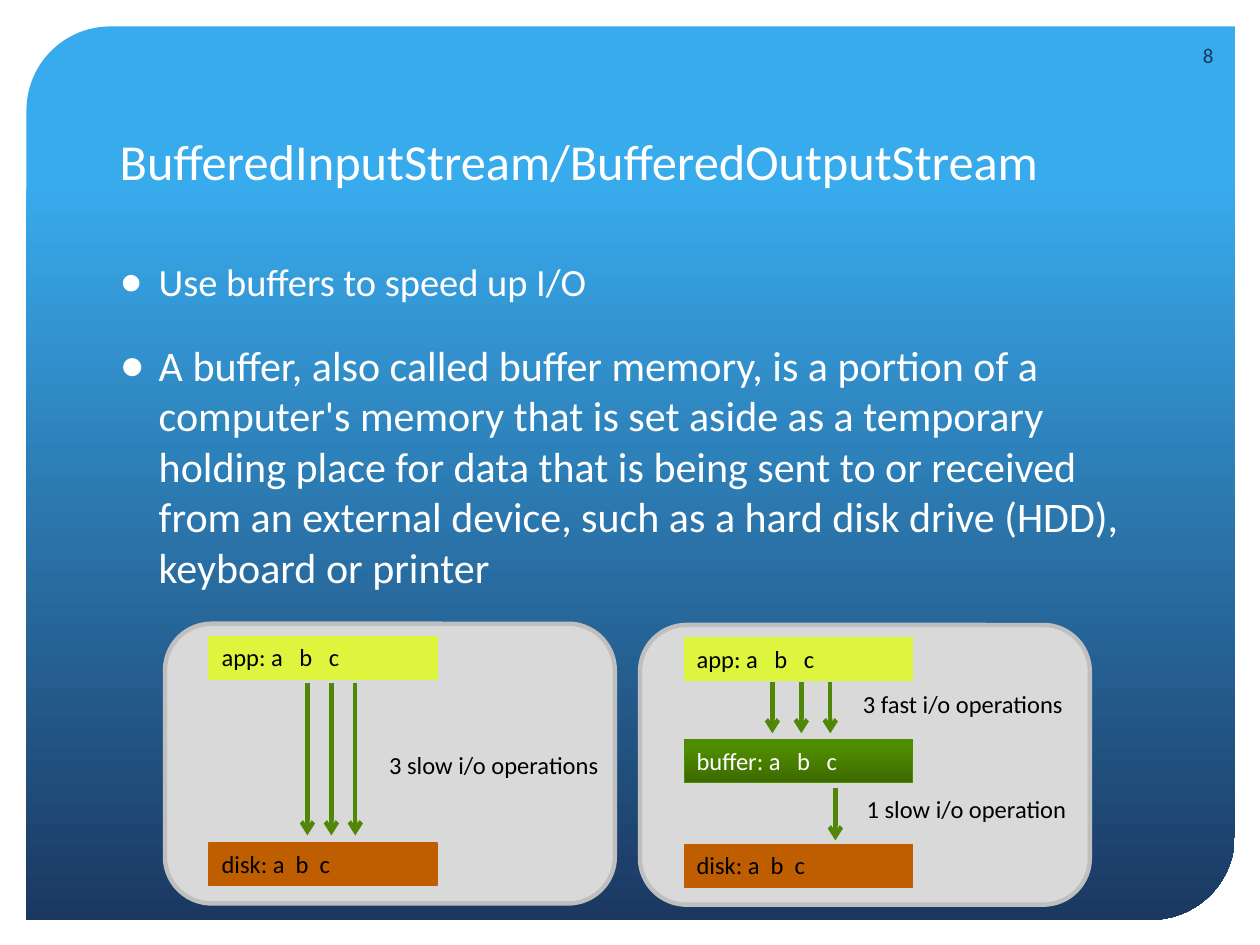
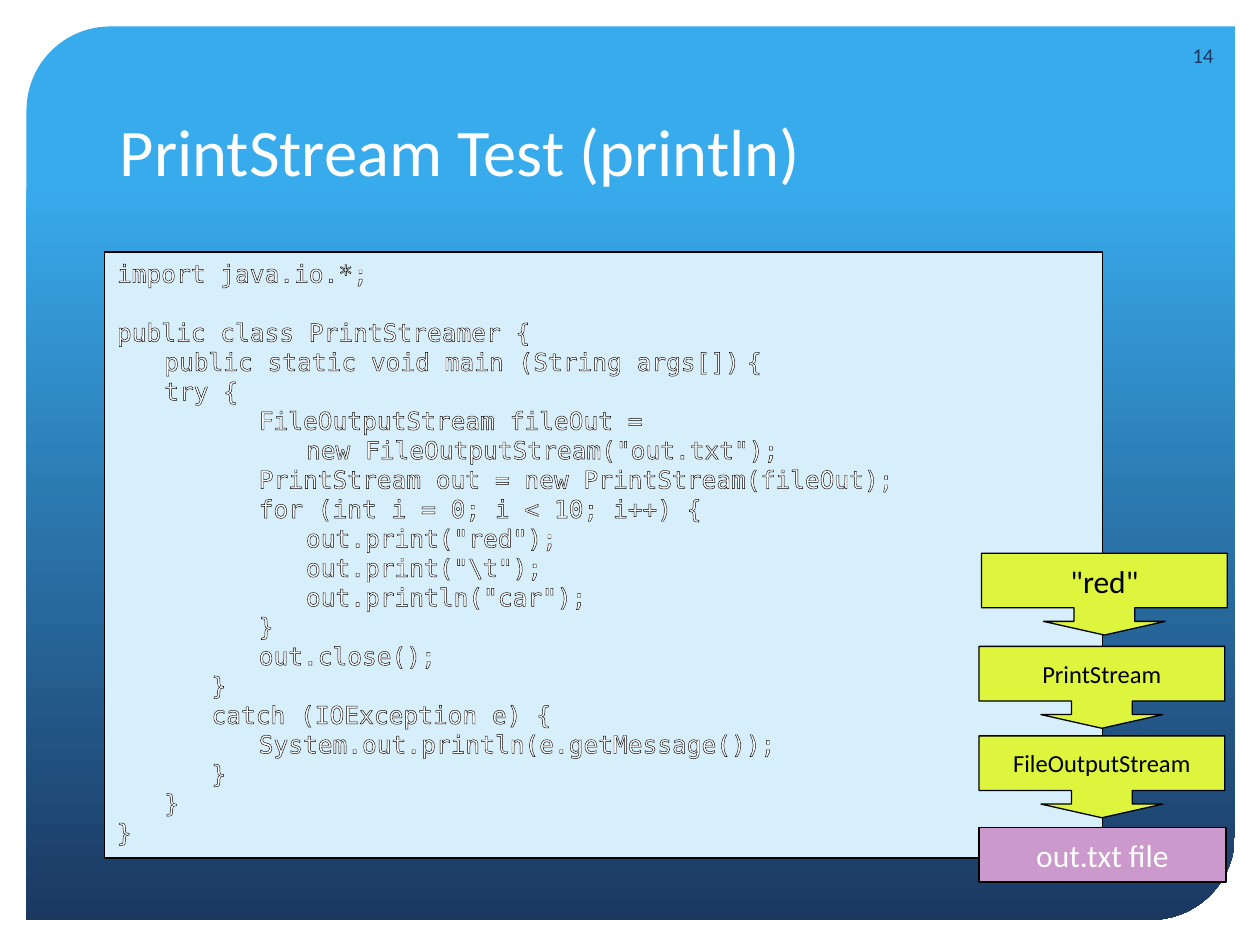
from lxml.etree import SubElement
from pptx import Presentation
from pptx.dml.color import RGBColor
from pptx.enum.shapes import MSO_CONNECTOR as Link, MSO_SHAPE as Kind
from pptx.enum.text import MSO_ANCHOR as Anchor, MSO_AUTO_SIZE as Fit, PP_ALIGN as Align
from pptx.oxml.ns import qn
from pptx.util import Inches, Pt

WHITE = RGBColor(0xFF, 0xFF, 0xFF)
BLACK = RGBColor(0x00, 0x00, 0x00)
SKY = RGBColor(0x38, 0xAB, 0xED)
NAVY = RGBColor(0x1B, 0x38, 0x61)
PALE = RGBColor(0xD7, 0xEE, 0xFB)
GREY = RGBColor(0xD9, 0xD9, 0xD9)
EDGE = RGBColor(0xBF, 0xBF, 0xBF)
LIME = RGBColor(0xDD, 0xF5, 0x3D)
LEAF = RGBColor(0x4F, 0x8C, 0x00)
MOSS = RGBColor(0x3D, 0x6B, 0x00)
ARROW = RGBColor(0x50, 0x87, 0x09)
RUST = RGBColor(0xBF, 0x5E, 0x00)
MAUVE = RGBColor(0xCC, 0x99, 0xCC)

SANS = "Calibri"
MONO = "DejaVu Sans Mono"

CODE = r"""import java.io.*;
public class PrintStreamer {
>public static void main (String args[])>{
>try {
>>>FileOutputStream fileOut = |>>>>new FileOutputStream("out.txt");
>>>PrintStream out = new PrintStream(fileOut);
>>>for (int i = 0; i < 10; i++) {
>>>>out.print("red");
>>>>out.print("\t");
>>>>out.println("car");
>>>}
>>>out.close();
>>}
>>catch (IOException e) {
>>>System.out.println(e.getMessage());
>>}
>}
}""".replace(">", "\t").replace("|", "\v")


class Deck:
    def __init__(self):
        self.prs = Presentation()
        self.prs.slide_width, self.prs.slide_height = Inches(10), Inches(7.5)
        self.slide = None

    def page(self, num, title, size):
        first = self.slide is None
        self.slide = self.prs.slides.add_slide(self.prs.slide_layouts[1])
        if first:
            self.band()
        head = self.slide.shapes.title
        self.place(head, 0.85, 0.42, 8.29, 1.14)
        self.label(head, title, size, WHITE, anchor=Anchor.BOTTOM)
        self.note(num, 9.19, 0.24, 0.54, 0.4, size=12, color=NAVY,
                  align=Align.RIGHT, anchor=Anchor.MIDDLE, wrap=True)

    def band(self):
        """Put the rounded backdrop on the master, behind everything."""
        back = self.box(Kind.ROUND_2_DIAG_RECTANGLE, 0.21, 0.21, 9.59, 7.09, None)
        back.adjustments[0] = 0.094
        self.fade(back, (0.17, SKY), (1, NAVY))
        self.prs.slide_master.shapes._spTree.insert(2, back._element)

    def place(self, shape, x, y, w, h):
        shape.left, shape.top = Inches(x), Inches(y)
        shape.width, shape.height = Inches(w), Inches(h)

    def label(self, shape, text, size, color, font=SANS, align=Align.LEFT,
              anchor=Anchor.TOP, wrap=True):
        frame = shape.text_frame
        frame.text = text
        frame.word_wrap = wrap
        frame.auto_size = Fit.NONE
        frame.vertical_anchor = anchor
        for para in frame.paragraphs:
            para.alignment = align
            para.font.size, para.font.name = Pt(size), font
            para.font.color.rgb = color
        return frame.paragraphs

    def fade(self, shape, *stops):
        """Fill from top to bottom between two stops."""
        shape.fill.gradient()
        shape.fill.gradient_angle = 270
        for stop, (pos, color) in zip(shape.fill.gradient_stops, stops):
            stop.position, stop.color.rgb = pos, color

    def box(self, kind, x, y, w, h, fill, line=None, width=0.75):
        shape = self.slide.shapes.add_shape(kind, Inches(x), Inches(y), Inches(w), Inches(h))
        shape.shadow.inherit = False
        if fill is not None:
            shape.fill.solid()
            shape.fill.fore_color.rgb = fill
        if line is None:
            shape.line.fill.background()
        else:
            shape.line.color.rgb, shape.line.width = line, Pt(width)
        return shape

    def note(self, text, x, y, w=1.82, h=0.34, size=14, color=BLACK, wrap=False, **style):
        area = self.slide.shapes.add_textbox(Inches(x), Inches(y), Inches(w), Inches(h))
        self.label(area, text, size, color, wrap=wrap, **style)

    def bar(self, text, x, y, fill, color=BLACK):
        shape = self.box(Kind.RECTANGLE, x, y, 1.81, 0.34, fill, fill or LEAF)
        if fill is None:
            self.fade(shape, (0.2, LEAF), (1, MOSS))
        self.label(shape, text, 14, color)

    def arrow(self, x, top, end):
        line = self.slide.shapes.add_connector(
            Link.STRAIGHT, Inches(x), Inches(top), Inches(x), Inches(end))
        line.line.color.rgb, line.line.width = ARROW, Pt(2.5)
        SubElement(line.line._get_or_add_ln(), qn("a:tailEnd"), type="arrow")
        SubElement(line._element.spPr, qn("a:effectLst"))

    def panel(self, x, y):
        """Draw a grey panel with its app and disk bars."""
        self.box(Kind.ROUNDED_RECTANGLE, x, y, 3.57, 2.22, GREY, EDGE, 2.5)
        self.bar("app: a   b   c", x + 0.35, y + 0.1, LIME)
        self.bar("disk: a  b  c", x + 0.35, y + 1.74, RUST)

    def bullets(self, items):
        body = self.slide.placeholders[1]
        self.place(body, 0.85, 2, 8.48, 2.91)
        paras = self.label(body, "\n".join(text for text, _ in items), 22, WHITE)
        for para, (_, size) in zip(paras, items):
            para.font.size, para.space_before = Pt(size), Pt(20)
            props = para._p.get_or_add_pPr()
            props.set("marL", str(Inches(0.31)))
            props.set("indent", str(-Inches(0.31)))
            mark = SubElement(props, qn("a:buChar"), char="●")
            props.find(qn("a:defRPr")).addprevious(mark)

    def listing(self, text, x, y, w, h):
        shape = self.box(Kind.RECTANGLE, x, y, w, h, PALE, BLACK, 1)
        paras = self.label(shape, text, 14, WHITE, font=MONO)
        paras[1].space_before = Pt(16.8)
        for para in paras:
            props = para._p.get_or_add_pPr()
            base = props.find(qn("a:defRPr"))
            tabs = SubElement(props, qn("a:tabLst"))
            base.addprevious(tabs)
            for i in range(1, 6):
                SubElement(tabs, qn("a:tab"), pos=str(Inches(0.375 * i)), algn="l")
            edge = SubElement(base, qn("a:ln"), w=str(Pt(0.75)))
            base.insert(0, edge)
            SubElement(SubElement(edge, qn("a:solidFill")), qn("a:srgbClr"), val=str(BLACK))

    def step(self, text, x, y, size):
        shape = self.box(Kind.DOWN_ARROW_CALLOUT, x, y, 1.95, 0.65, LIME, BLACK)
        for i, part in enumerate((0.744, 0.744, 0.167, 0.667)):
            shape.adjustments[i] = part
        self.label(shape, text, size, BLACK, align=Align.CENTER,
                   anchor=Anchor.MIDDLE, wrap=False)


def buffers(deck):
    deck.page("8", "BufferedInputStream/BufferedOutputStream", 28.8)
    deck.bullets([
        ("Use buffers to speed up I/O", 22),
        ("A buffer, also called buffer memory, is a portion of a computer's memory "
         "that is set aside as a temporary holding place for data that is being sent "
         "to or received from an external device, such as a hard disk drive (HDD), "
         "keyboard or printer", 24),
    ])

    x, y = 1.31, 4.95
    deck.panel(x, y)
    for i in range(3):
        deck.arrow(x + 1.13 + 0.19 * i, y + 0.47, y + 1.68)
    deck.note("3 slow i/o operations", x + 1.68, y + 0.95, 1.88)

    x, y = 5.08, 4.96
    deck.panel(x, y)
    deck.bar("buffer: a   b   c", x + 0.35, y + 0.91, None, WHITE)
    for i in range(3):
        deck.arrow(x + 1.05 + 0.23 * i, y + 0.45, y + 0.86)
    deck.arrow(x + 1.55, y + 1.29, y + 1.71)
    deck.note("3 fast i/o operations", x + 1.67, y + 0.46)
    deck.note("1 slow i/o operation", x + 1.7, y + 1.29)


def printer(deck):
    deck.page("14", "PrintStream Test (println)", 38)
    body = deck.slide.placeholders[1]._element
    body.getparent().remove(body)
    deck.listing(CODE, 0.83, 2, 7.92, 4.81)
    deck.step('"red"', 7.79, 4.39, 18)
    deck.step("PrintStream", 7.77, 5.13, 14)
    deck.step("FileOutputStream", 7.77, 5.84, 14)
    goal = deck.box(Kind.RECTANGLE, 7.77, 6.57, 1.96, 0.43, MAUVE, BLACK)
    deck.label(goal, "out.txt file", 18, WHITE, align=Align.CENTER,
               anchor=Anchor.MIDDLE, wrap=False)


def main():
    deck = Deck()
    buffers(deck)
    printer(deck)
    deck.prs.save("out.pptx")


if __name__ == "__main__":
    main()
